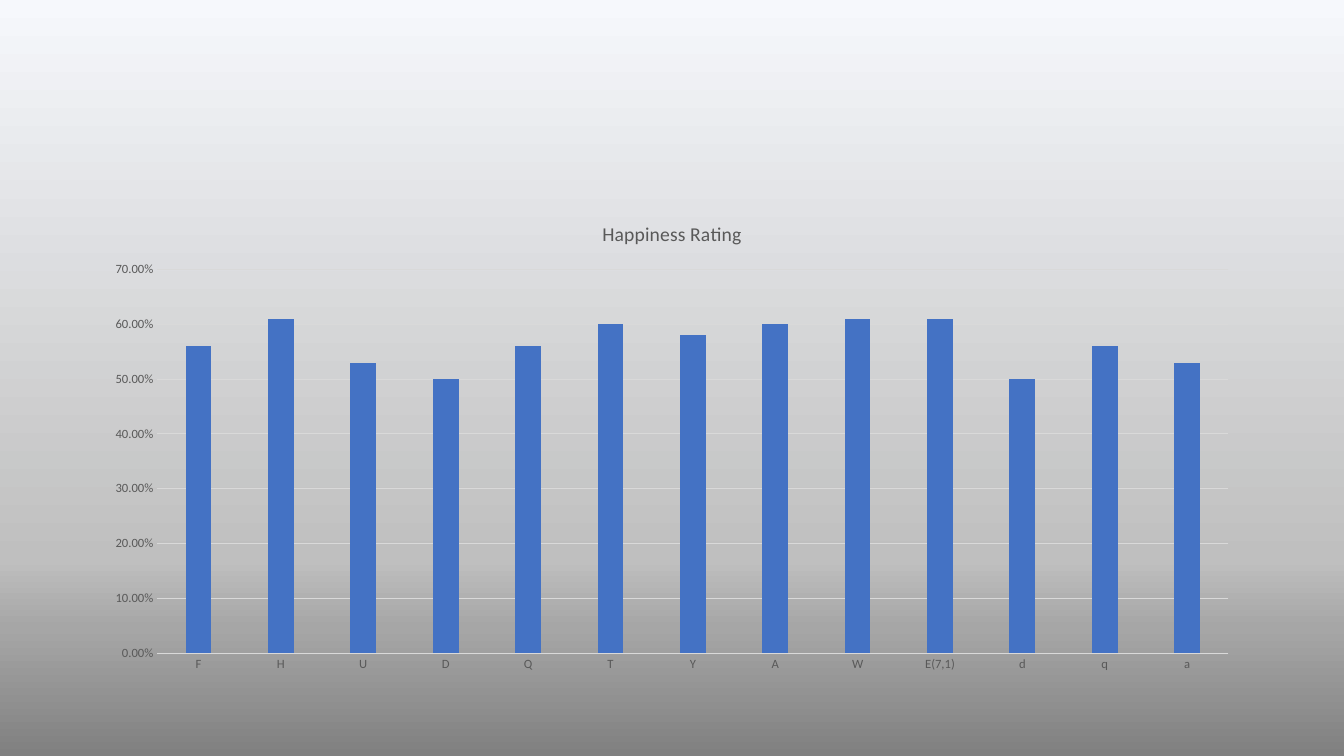
from dataclasses import dataclass

from lxml.etree import SubElement
from pptx import Presentation
from pptx.chart.data import CategoryChartData
from pptx.dml.color import RGBColor
from pptx.enum.chart import XL_CHART_TYPE as ChartType, XL_TICK_MARK as TickMark
from pptx.oxml.ns import qn
from pptx.util import Emu, Pt

EMU_PER_PX = 9525


@dataclass(frozen=True)
class Theme:
    font: str = "Calibri"
    text: str = "595959"
    rule: str = "D9D9D9"
    bar: str = "4472C4"
    background: tuple = ((0, "F6F8FC"), (74, "BFBFBF"), (83, "A6A6A6"), (100, "808080"))
    title_size: int = 14
    label_size: int = 9
    rule_width: float = 0.75


THEME = Theme()

HAPPINESS_RATINGS = {
    "F": 0.56, "H": 0.61, "U": 0.53, "D": 0.5, "Q": 0.56, "T": 0.6, "Y": 0.58,
    "A": 0.6, "W": 0.61, "E(7,1)": 0.61, "d": 0.5, "q": 0.56, "a": 0.53,
}


def px(length):
    return Emu(length * EMU_PER_PX)


def rgb(color):
    return RGBColor.from_string(color)


def style_font(font, size):
    font.name = THEME.font
    font.size = Pt(size)
    font.bold = False
    font.color.rgb = rgb(THEME.text)


def style_rule(line):
    line.color.rgb = rgb(THEME.rule)
    line.width = Pt(THEME.rule_width)


def style_axis(axis):
    axis.major_tick_mark = axis.minor_tick_mark = TickMark.NONE
    style_font(axis.tick_labels.font, THEME.label_size)


def paint_background(slide):
    """Fill the slide from top to bottom with the theme's gradient stops."""
    fill = slide.background.fill
    fill.gradient()
    fill.gradient_angle = 270
    stop_list = next(slide.element.iter(qn("a:gsLst")))
    for stop in list(stop_list):
        stop_list.remove(stop)
    for percent, color in THEME.background:
        stop = SubElement(stop_list, qn("a:gs"), pos=str(percent * 1000))
        SubElement(stop, qn("a:srgbClr"), val=color)


def add_title(chart, text):
    chart.has_title = True
    paragraph = chart.chart_title.text_frame.paragraphs[0]
    paragraph.text = text
    style_font(paragraph.font, THEME.title_size)
    chart.chart_title.include_in_layout = False


def add_column_chart(slide, title, ratings, left, top, width, height):
    data = CategoryChartData(number_format="0.00%")
    data.categories = list(ratings)
    data.add_series("Series 1", ratings.values())
    chart = slide.shapes.add_chart(
        ChartType.COLUMN_CLUSTERED, px(left), px(top), px(width), px(height), data
    ).chart
    chart.has_legend = False
    chart.font.name = THEME.font
    add_title(chart, title)

    plot = chart.plots[0]
    plot.gap_width = 219
    plot.overlap = -27
    plot.vary_by_categories = False
    bars = plot.series[0].format.fill
    bars.solid()
    bars.fore_color.rgb = rgb(THEME.bar)

    style_axis(chart.category_axis)
    style_rule(chart.category_axis.format.line)

    value_axis = chart.value_axis
    style_axis(value_axis)
    value_axis.format.line.fill.background()
    value_axis.minimum_scale, value_axis.maximum_scale = 0, 0.7
    value_axis.major_unit = 0.1
    value_axis.tick_labels.number_format = "0.00%"
    value_axis.tick_labels.number_format_is_linked = False
    style_rule(value_axis.major_gridlines.format.line)


def main():
    presentation = Presentation()
    presentation.slide_width, presentation.slide_height = px(1280), px(720)
    slide = presentation.slides.add_slide(presentation.slide_layouts[6])
    paint_background(slide)
    add_column_chart(slide, "Happiness Rating", HAPPINESS_RATINGS, 88, 192, 1104, 457)
    presentation.save("out.pptx")


if __name__ == "__main__":
    main()
